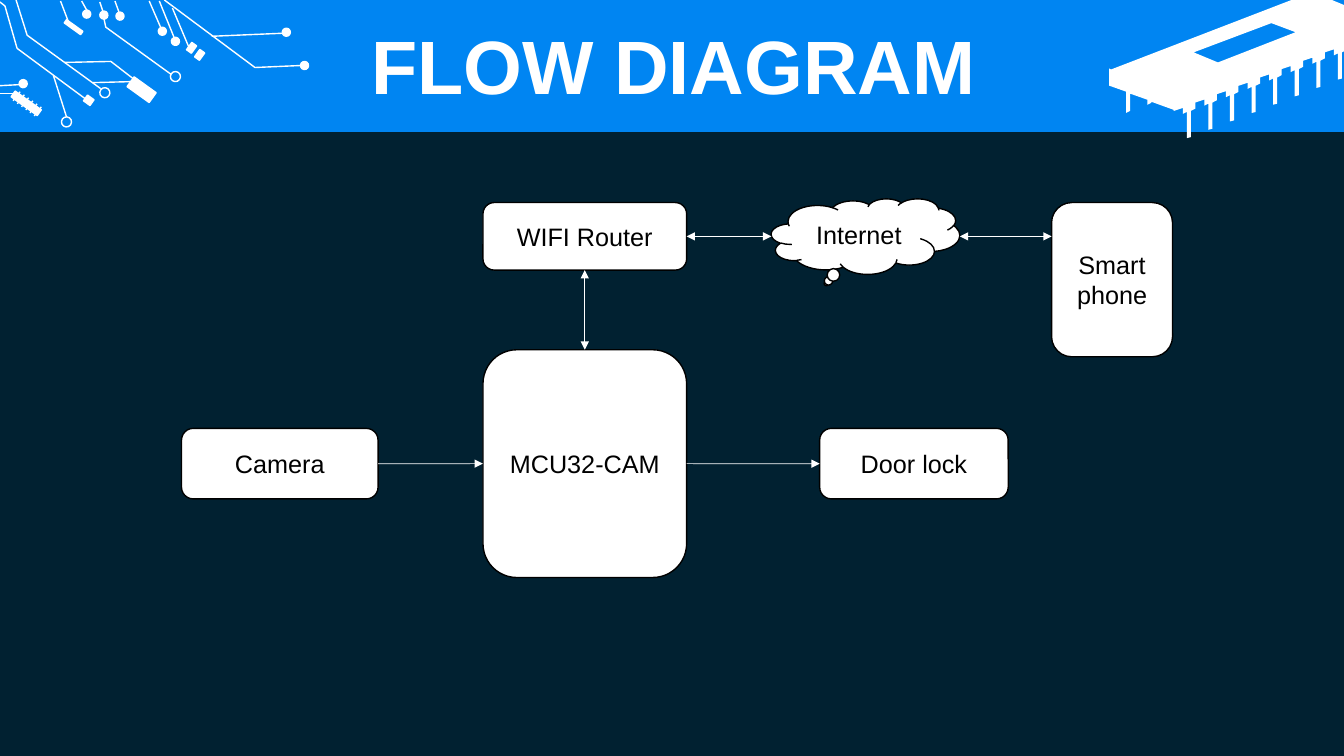
from dataclasses import dataclass

from lxml import etree
from pptx import Presentation
from pptx.dml.color import RGBColor
from pptx.enum import shapes, text
from pptx.oxml import ns
from pptx.util import Inches, Pt


@dataclass(frozen=True)
class Theme:
    background: str = "012131"
    band: str = "0085F2"
    light: str = "FFFFFF"
    dark: str = "000000"
    font: str = "Arial"
    title_size: int = 54
    label_size: int = 18
    outline: float = 1
    arrow: float = 0.5


THEME = Theme()
KIND = shapes.MSO_SHAPE
TITLE = "FLOW DIAGRAM"

# label: (preset, left, top, width, height)
NODES = {
    "MCU32-CAM": (KIND.ROUNDED_RECTANGLE, 4.79, 3.47, 2.02, 2.26),
    "WIFI Router": (KIND.ROUNDED_RECTANGLE, 4.79, 2.01, 2.02, 0.67),
    "Internet": (KIND.CLOUD_CALLOUT, 7.65, 1.97, 1.87, 0.75),
    "Smart phone": (KIND.ROUNDED_RECTANGLE, 10.43, 2.01, 1.2, 1.53),
    "Camera": (KIND.ROUNDED_RECTANGLE, 1.8, 4.25, 1.95, 0.7),
    "Door lock": (KIND.ROUNDED_RECTANGLE, 8.13, 4.25, 1.87, 0.7),
}
BOTTOM, RIGHT, TOP, LEFT = 2, 3, 0, 1  # connection sites of a box
# from, site, to, site, arrowhead at both ends
BOX_LINKS = [
    ("Camera", RIGHT, "MCU32-CAM", LEFT, False),
    ("WIFI Router", BOTTOM, "MCU32-CAM", TOP, True),
    ("MCU32-CAM", RIGHT, "Door lock", LEFT, False),
]
CLOUD_LINKS = [("WIFI Router", "Internet"), ("Internet", "Smart phone")]

CIRCUIT_ANGLE = 35.7
DOT, RING = 0.08, 0.1
DOTS = [(2.98, 0.61), (2.8, 0.28), (0.82, 0.1), (0.99, 0.11), (1.15, 0.12),
        (0.19, 0.79), (1.7, 0.37), (1.57, 0.27)]
RINGS = [(1.69, 0.71), (0.99, 0.87), (0.61, 1.16)]
COMPONENTS = [(1.27, 0.83, 0.27, 0.12), (0.63, 0.25, 0.2, 0.04),
              (0.84, 0.96, 0.08, 0.07), (1.87, 0.43, 0.06, 0.09),
              (1.95, 0.5, 0.06, 0.09), (0.1, 0.99, 0.32, 0.07)]
WIRES = [
    ((0.6, 0.01), (0.68, 0.22)), ((0.81, 0.01), (0.86, 0.1)),
    ((0.99, 0.02), (1.02, 0.11)), ((1.14, 0.01), (1.18, 0.12)),
    ((1.48, 0.01), (1.61, 0.31)), ((1.58, 0.01), (1.73, 0.38)),
    ((2.1, 0.36), (2.8, 0.33)), ((1.71, 0.08), (1.87, 0.46)),
    ((0, 0.85), (0.19, 0.84)), ((0, 0.93), (0.14, 0.93)),
    ((0.53, 0.75), (0.66, 1.16)), ((0.92, 0.82), (1.3, 0.81)),
]
TRACES = [
    [(1.63, 0), (2.53, 0.67), (2.99, 0.65)],
    [(0.16, 0), (0.27, 0.35), (1, 0.88)],
    [(0, 0.02), (0.05, 0.06), (0.17, 0.48), (0.86, 0.99)],
    [(0.64, 0.62), (1.1, 0.61), (1.32, 0.78)],
    [(1.03, 0.18), (1.05, 0.27), (1.7, 0.74)],
]
COIL_TURNS, COIL_START, COIL_STEP, COIL_TURN = 6, (0.13, 1), (0.042, 0.03), (0.07, -0.09)

CHIP_WINDOW = [(12.61, 0.23), (11.84, 0.52), (12.08, 0.62), (12.85, 0.32)]
CHIP_TOP = [(12.81, 0), (13.21, 0), (13.33, 0.05), (13.33, 0.51)]
CHIP_SIDE = [(11.64, 1.09), (11.42, 1.01), (11.42, 1.02), (11.38, 1.04), (11.38, 0.99),
             (11.21, 0.93), (11.21, 1.1), (11.17, 1.12), (11.17, 0.91), (11, 0.85),
             (11, 0.68), (11.02, 0.69)]
PINS, PIN_START, PIN_STEP = 8, (13.31, 0.52), (-0.214, 0.083)
PIN = [(0, 0), (0, 0.26), (-0.04, 0.27), (-0.04, 0.01), (-0.08, 0.03),
       (-0.08, -0.03), (-0.17, 0), (-0.17, 0.06)]


def rgb(code):
    return RGBColor.from_string(code)


def emu(values):
    return [Inches(value) for value in values]


def shift(point, step, count=1):
    return tuple(start + count * delta for start, delta in zip(point, step))


def paint(shape, fill=None, line=None):
    shape.shadow.inherit = False
    if fill:
        shape.fill.solid()
        shape.fill.fore_color.rgb = rgb(fill)
    else:
        shape.fill.background()
    if line:
        shape.line.color.rgb = rgb(line)
        shape.line.width = Pt(THEME.outline)
    else:
        shape.line.fill.background()
    return shape


def write(shape, words, *, size, color, bold=False, spacing=None):
    frame = shape.text_frame
    frame.word_wrap = True
    frame.vertical_anchor = text.MSO_ANCHOR.MIDDLE
    paragraph = frame.paragraphs[0]
    paragraph.alignment = text.PP_ALIGN.CENTER
    paragraph.line_spacing = spacing
    run = paragraph.add_run()
    run.text = words
    run.font.name = THEME.font
    run.font.size = Pt(size)
    run.font.bold = bold
    run.font.color.rgb = rgb(color)


def add_line(parent, start, end, width, heads=()):
    """Draw a light straight line; heads may hold headEnd and tailEnd."""
    line = parent.add_connector(shapes.MSO_CONNECTOR.STRAIGHT, *emu(start + end))
    line.line.color.rgb = rgb(THEME.light)
    line.line.width = Pt(width)
    for head in heads:
        etree.SubElement(line.line._get_or_add_ln(), ns.qn(f"a:{head}"), type="triangle")
    etree.SubElement(line._element.spPr, ns.qn("a:effectLst"))
    return line


def add_outline(parent, *contours, close):
    builder = None
    for contour in contours:
        first, *rest = [emu(point) for point in contour]
        if builder is None:
            builder = parent.build_freeform(*first)
        else:
            builder.move_to(*first)
        builder.add_line_segments(rest, close=close)
    return builder.convert_to_shape()


def draw_chip(parent):
    teeth = [shift(shift(PIN_START, PIN_STEP, i), corner) for i in range(PINS) for corner in PIN]
    body = CHIP_TOP + teeth[:-1] + CHIP_SIDE
    paint(add_outline(parent, CHIP_WINDOW, body, close=True), THEME.light)


def draw_circuit(parent):
    parts = [(KIND.RECTANGLE, box, THEME.light) for box in COMPONENTS]
    parts += [(KIND.OVAL, dot + (DOT, DOT), THEME.light) for dot in DOTS]
    parts += [(KIND.OVAL, ring + (RING, RING), None) for ring in RINGS]
    for preset, box, fill in parts:
        part = paint(parent.add_shape(preset, *emu(box)), fill, THEME.light)
        part.rotation = CIRCUIT_ANGLE
    coil = [shift(COIL_START, COIL_STEP, i) for i in range(COIL_TURNS)]
    for start, end in WIRES + [(point, shift(point, COIL_TURN)) for point in coil]:
        add_line(parent, start, end, THEME.outline)
    for trace in TRACES:
        paint(add_outline(parent, trace, close=False), line=THEME.light)


def draw_flow(parent):
    nodes = {}
    for label, (preset, *box) in NODES.items():
        nodes[label] = paint(parent.add_shape(preset, *emu(box)), THEME.light, THEME.dark)
        write(nodes[label], label, size=THEME.label_size, color=THEME.dark)
    for source, out_site, target, in_site, both in BOX_LINKS:
        heads = ("headEnd", "tailEnd") if both else ("tailEnd",)
        link = add_line(parent, (0, 0), (1, 1), THEME.arrow, heads)
        link.begin_connect(nodes[source], out_site)
        link.end_connect(nodes[target], in_site)
    _, _, cloud_top, _, cloud_height = NODES["Internet"]
    level = cloud_top + cloud_height / 2
    for source, target in CLOUD_LINKS:
        _, left, _, width, _ = NODES[source]
        add_line(parent, (left + width, level), (NODES[target][1], level),
                 THEME.arrow, ("headEnd", "tailEnd"))


def main():
    deck = Presentation()
    deck.slide_width, deck.slide_height = emu((13.33, 7.5))
    slide = deck.slides.add_slide(deck.slide_layouts[6])
    slide.background.fill.solid()
    slide.background.fill.fore_color.rgb = rgb(THEME.background)
    canvas = slide.shapes

    paint(canvas.add_shape(KIND.RECTANGLE, *emu((0, 0, 13.33, 1.31))), THEME.band)
    draw_chip(canvas)
    draw_circuit(canvas.add_group_shape().shapes)
    title = canvas.add_textbox(*emu((0.35, 0.3, 12.66, 0.79)))
    write(title, TITLE, size=THEME.title_size, color=THEME.light, bold=True, spacing=0.9)
    draw_flow(canvas)
    deck.save("out.pptx")


if __name__ == "__main__":
    main()
